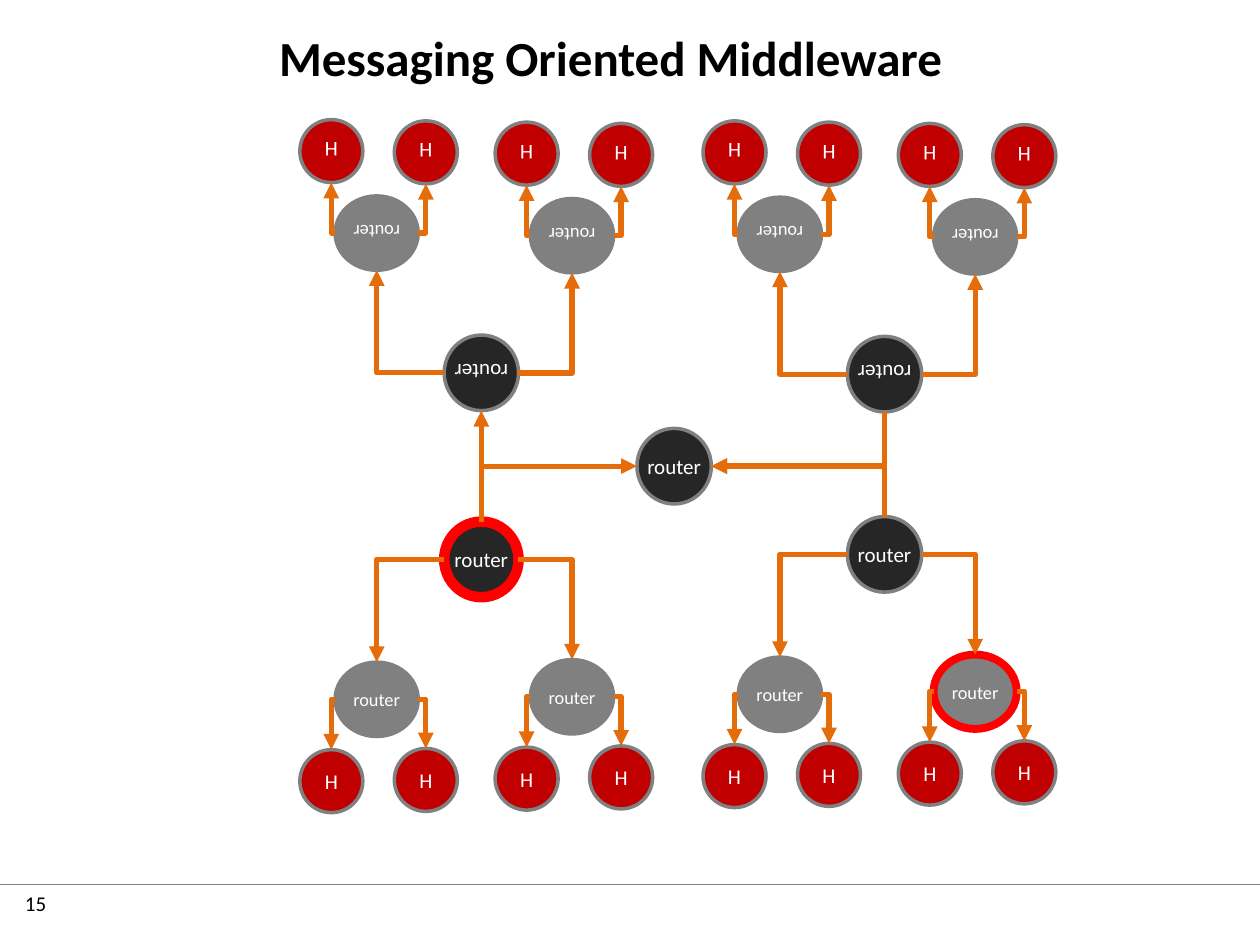
from lxml import etree
from pptx import Presentation
from pptx.dml.color import RGBColor
from pptx.enum.shapes import MSO_CONNECTOR, MSO_SHAPE
from pptx.enum.text import MSO_ANCHOR, MSO_AUTO_SIZE, PP_ALIGN
from pptx.oxml.ns import qn
from pptx.util import Inches, Pt

ELLIPSE = MSO_SHAPE.OVAL
STRAIGHT, ELBOW = MSO_CONNECTOR.STRAIGHT, MSO_CONNECTOR.ELBOW
CENTER, MIDDLE = PP_ALIGN.CENTER, MSO_ANCHOR.MIDDLE

FONT = "Calibri"
COLORS = {
    "core": "262626", "edge": "808080", "host": "C00000", "outline": "808080",
    "highlight": "FF0000", "link": "E46C0A", "light": "FFFFFF", "dark": "000000",
}
# kind: (label, width, height, text size)
NODES = {
    "core": ("router", 0.59, 0.6, 12),
    "edge": ("router", 0.66, 0.59, 10.5),
    "host": ("H", 0.5, 0.5, 12),
}
# Connection sites of an ellipse, and each site's direction from the centre
TOP, LEFT, BOTTOM, RIGHT = 0, 2, 4, 6
DIRECTIONS = {TOP: (0, -0.5), LEFT: (-0.5, 0), BOTTOM: (0, 0.5), RIGHT: (0.5, 0)}
FLIPPED = {TOP: BOTTOM, BOTTOM: TOP, LEFT: LEFT, RIGHT: RIGHT}

# Offsets of the children, left and right; drops lead away from the middle
EDGE_OFFSETS = ((LEFT, -0.83, 1.11), (RIGHT, 0.72, 1.09))
HOST_OFFSETS = ((LEFT, -0.36), (RIGHT, 0.39))
HOST_DROP, HOST_STEP = 1.76, 0.01


def rgb(name):
    return RGBColor.from_string(COLORS[name])


def style_text(p, size, color, bold=False):
    p.font.name, p.font.size, p.font.bold = FONT, Pt(size), bold
    p.font.color.rgb = rgb(color)


def add_title(slide, text):
    sp = slide.shapes.title
    sp.left, sp.top, sp.width, sp.height = map(Inches, (0.91, 0.19, 7.87, 0.52))
    tf = sp.text_frame
    tf.text = text
    tf.auto_size = MSO_AUTO_SIZE.NONE
    tf.vertical_anchor = MIDDLE
    p = tf.paragraphs[0]
    p.alignment = CENTER
    style_text(p, 28, "dark", bold=True)


def add_footer(slide, number):
    add_line(slide, STRAIGHT, (0, 7.02), (10, 7.02), "outline", 0.75)
    tf = slide.shapes.add_textbox(*map(Inches, (0.1, 7.02, 0.8, 0.4))).text_frame
    tf.word_wrap = True
    tf.text = number
    style_text(tf.paragraphs[0], 12, "dark")


def add_line(slide, kind, begin, end, color, width):
    c = slide.shapes.add_connector(kind, *map(Inches, (*begin, *end)))
    c.line.color.rgb, c.line.width = rgb(color), Pt(width)
    etree.SubElement(c.element.spPr, qn("a:effectLst"))
    return c


def add_node(slide, kind, x, y, flip=False, ring=0):
    """Draw a node centred on x, y; ring is the width of a highlight outline."""
    label, w, h, size = NODES[kind]
    sp = slide.shapes.add_shape(
        ELLIPSE, *map(Inches, (x - w / 2, y - h / 2, w, h)))
    sp.shadow.inherit = False
    sp.fill.solid()
    sp.fill.fore_color.rgb = rgb(kind)
    sp.line.color.rgb = rgb("highlight" if ring else "outline")
    sp.line.width = Pt(ring or 2)
    if flip:
        sp.element.spPr.find(qn("a:xfrm")).set("flipV", "1")
    tf = sp.text_frame
    tf.margin_left = tf.margin_right = tf.margin_top = tf.margin_bottom = 0
    tf.word_wrap = False
    tf.vertical_anchor = MIDDLE
    tf.text = label
    p = tf.paragraphs[0]
    p.alignment = CENTER
    style_text(p, size, "light")
    return {"id": sp.shape_id, "x": x, "y": y, "w": w, "h": h, "flip": flip}


def site_point(node, site):
    dx, dy = DIRECTIONS[site]
    return node["x"] + dx * node["w"], node["y"] + dy * node["h"]


def add_link(slide, a, a_site, b, b_site, arrow="tailEnd", kind=ELBOW):
    """Join two nodes; an elbow leaves a sideways and turns once towards b."""
    c = add_line(slide, kind, site_point(a, a_site), site_point(b, b_site),
                 "link", 3)
    if kind == ELBOW:
        c.element.spPr.find(qn("a:prstGeom")).set("prst", "bentConnector2")
    ends = c.element.nvCxnSpPr.cNvCxnSpPr
    for tag, node, site in (("a:stCxn", a, a_site), ("a:endCxn", b, b_site)):
        idx = FLIPPED[site] if node["flip"] else site
        etree.SubElement(ends, qn(tag), id=str(node["id"]), idx=str(idx))
    etree.SubElement(c.line._get_or_add_ln(), qn("a:" + arrow), type="triangle")


def add_tree(slide, x, y, up=False, core_ring=0, edge_rings=(0, 0)):
    """Draw a core router with two edge routers, each with two hosts."""
    sign, inner = (-1, BOTTOM) if up else (1, TOP)
    core = add_node(slide, "core", x, y, up, core_ring)
    links = []
    for i, (side, dx, drop) in enumerate(EDGE_OFFSETS):
        edge = add_node(slide, "edge", x + dx, y + sign * drop, up, edge_rings[i])
        links.append((core, side, edge, inner))
        for j, (host_side, host_dx) in enumerate(HOST_OFFSETS):
            host_drop = HOST_DROP - HOST_STEP * (2 * i + j)
            host = add_node(slide, "host", edge["x"] + host_dx,
                            y + sign * host_drop, up)
            links.append((edge, host_side, host, inner))
    for link in links:
        add_link(slide, *link)
    return core


def main():
    prs = Presentation()
    prs.slide_width, prs.slide_height = Inches(10), Inches(7.5)
    slide = prs.slides.add_slide(prs.slide_layouts[5])
    add_title(slide, "Messaging Oriented Middleware")
    add_footer(slide, "15")

    lower_right = add_tree(slide, 7.02, 4.4, edge_rings=(0, 4.5))
    lower_left = add_tree(slide, 3.82, 4.44, core_ring=6)
    upper_right = add_tree(slide, 7.02, 2.97, up=True)
    upper_left = add_tree(slide, 3.82, 2.96, up=True)
    hub = add_node(slide, "core", 5.35, 3.7)

    add_link(slide, hub, LEFT, lower_left, TOP, "headEnd")
    add_link(slide, lower_left, TOP, upper_left, BOTTOM, kind=STRAIGHT)
    add_link(slide, hub, RIGHT, lower_right, TOP, "headEnd")
    add_link(slide, hub, RIGHT, upper_right, BOTTOM, "headEnd")
    prs.save("out.pptx")


if __name__ == "__main__":
    main()
